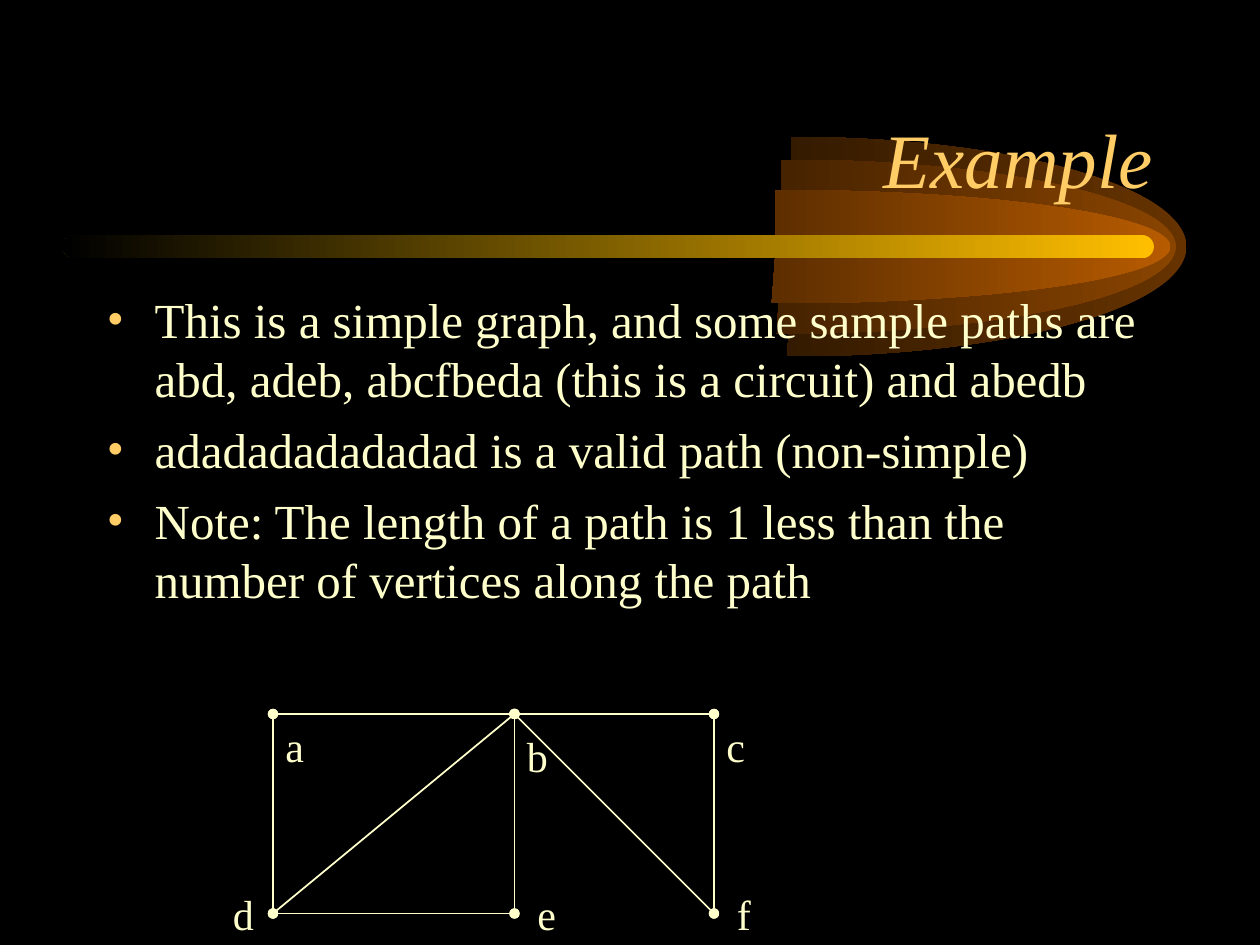
from lxml import etree
from pptx import Presentation
from pptx import util as u
from pptx.dml.color import RGBColor
from pptx.enum import shapes, text
from pptx.oxml import ns

COLORS = {
    "background": "000000", "title": "FFCC66", "ink": "FFFFCC", "bar": "FFBF00",
    "outer": "663300", "middle": "894400", "inner": "B75B00",
}
FONT = "Times New Roman"

deck = Presentation()
deck.slide_width, deck.slide_height = u.Inches(10), u.Inches(7.5)
UNIT = deck.slide_width / 120
page = deck.slides.add_slide(deck.slide_layouts[6])
page.background.fill.solid()
page.background.fill.fore_color.rgb = RGBColor.from_string(COLORS["background"])


def grid(*cells):
    return [round(cell * UNIT) for cell in cells]


def add_text(place, lines, size, color, anchor="TOP", **paragraph_format):
    box = page.shapes.add_textbox(*grid(*place))
    box.text_frame.word_wrap = True
    box.text_frame.vertical_anchor = text.MSO_ANCHOR[anchor]
    box.text_frame.text = "\n".join(lines)
    for para in box.text_frame.paragraphs:
        for name, value in paragraph_format.items():
            setattr(para, name, value)
        span = para.runs[0]
        span.font.color.rgb = RGBColor.from_string(COLORS[color])
        for name, value in {"name": FONT, "size": u.Pt(size)}.items():
            setattr(span.font, name, value)
    return box


AXIS = 23.5
REACH = 37.6
ROUNDNESS = 0.55
glows = []
for name, left, half in [("outer", 75.4, 10.45), ("middle", 74.4, 8.3), ("inner", 73.9, 5.4)]:
    tip, shoulder, bend = left + REACH, left + REACH * ROUNDNESS, half * ROUNDNESS
    outline = page.shapes.build_freeform(*grid(left, AXIS - half))
    outline.add_line_segments([grid(*point) for point in [
        (shoulder, AXIS - half), (tip, AXIS - bend), (tip, AXIS),
        (tip, AXIS + bend), (shoulder, AXIS + half), (left - 0.4, AXIS + half),
        (left, AXIS),
    ]], close=True)
    glow = outline.convert_to_shape()
    route = glow._element.spPr.find(".//" + ns.qn("a:path"))
    segments = route.findall(ns.qn("a:lnTo"))
    for first in (0, 3):
        curve = etree.Element(ns.qn("a:cubicBezTo"))
        segments[first].addprevious(curve)
        for segment in segments[first:first + 3]:
            curve.append(segment[0])
            route.remove(segment)
    for point in route.iter(ns.qn("a:pt")):
        point.set("x", str(int(point.get("x")) + glow.width))
    route.set("w", str(glow.width * 2))
    glow.left, glow.width = glow.left - glow.width, glow.width * 2
    glows.append((glow, name))

bar = page.shapes.add_shape(shapes.MSO_SHAPE.ROUNDED_RECTANGLE, *grid(6, 22.4, 103.9, 2.2))
bar.adjustments[0] = 0.5
for shape, start in glows + [(bar, "bar")]:
    shape.shadow.inherit = False
    shape.line.fill.background()
    shape.fill.gradient()
    shape.fill.gradient_angle = 180
    for stop, color in zip(shape.fill.gradient_stops, (start, "background")):
        stop.color.rgb = RGBColor.from_string(COLORS[color])

title = add_text((9, 5, 102, 15), ["Example"], 44, "title", "BOTTOM", alignment=text.PP_ALIGN.RIGHT)
title.text_frame.paragraphs[0].runs[0].font.italic = True

body = add_text((9, 27, 102, 40), [
    "This is a simple graph, and some sample paths are abd, adeb, abcfbeda (this is a circuit) and abedb",
    "adadadadadadad is a valid path (non-simple)",
    "Note: The length of a path is 1 less than the number of vertices along the path",
], 28, "ink", space_before=u.Pt(7))
for para in body.text_frame.paragraphs:
    properties = para._p.get_or_add_pPr()
    properties.set("marL", str(u.Inches(0.38)))
    properties.set("indent", str(-u.Inches(0.38)))
    bullet_color = etree.SubElement(properties, ns.qn("a:buClr"))
    etree.SubElement(bullet_color, ns.qn("a:srgbClr"), val=COLORS["title"])
    etree.SubElement(properties, ns.qn("a:buFont"), typeface=FONT)
    etree.SubElement(properties, ns.qn("a:buChar"), char="•")

TOP, BOTTOM = 68, 87
VERTICES = {
    "a": (26, TOP), "b": (49, TOP), "c": (68, TOP),
    "d": (26, BOTTOM), "e": (49, BOTTOM), "f": (68, BOTTOM),
}
for start, end in ["da", "db", "de", "fb", "eb", "cb", "fc", "ba"]:
    edge = page.shapes.add_connector(
        shapes.MSO_CONNECTOR.STRAIGHT, *grid(*VERTICES[start], *VERTICES[end]))
    edge.line.color.rgb = RGBColor.from_string(COLORS["ink"])
    edge.line.width = u.Pt(1)
    properties = edge._element.spPr
    for tip in ("a:headEnd", "a:tailEnd"):
        etree.SubElement(properties.find(ns.qn("a:ln")), ns.qn(tip), type="oval")
    etree.SubElement(properties, ns.qn("a:effectLst"))

LABEL_OFFSETS = {"a": (0, 0), "b": (0, 1), "c": (0, 0), "f": (1, -3), "e": (1, -3), "d": (-5, -3)}
for name, (right, down) in LABEL_OFFSETS.items():
    column, row = VERTICES[name]
    add_text((column + right, row + down, 5, 6), [name], 24, "ink", space_before=u.Pt(15))

deck.save("out.pptx")
